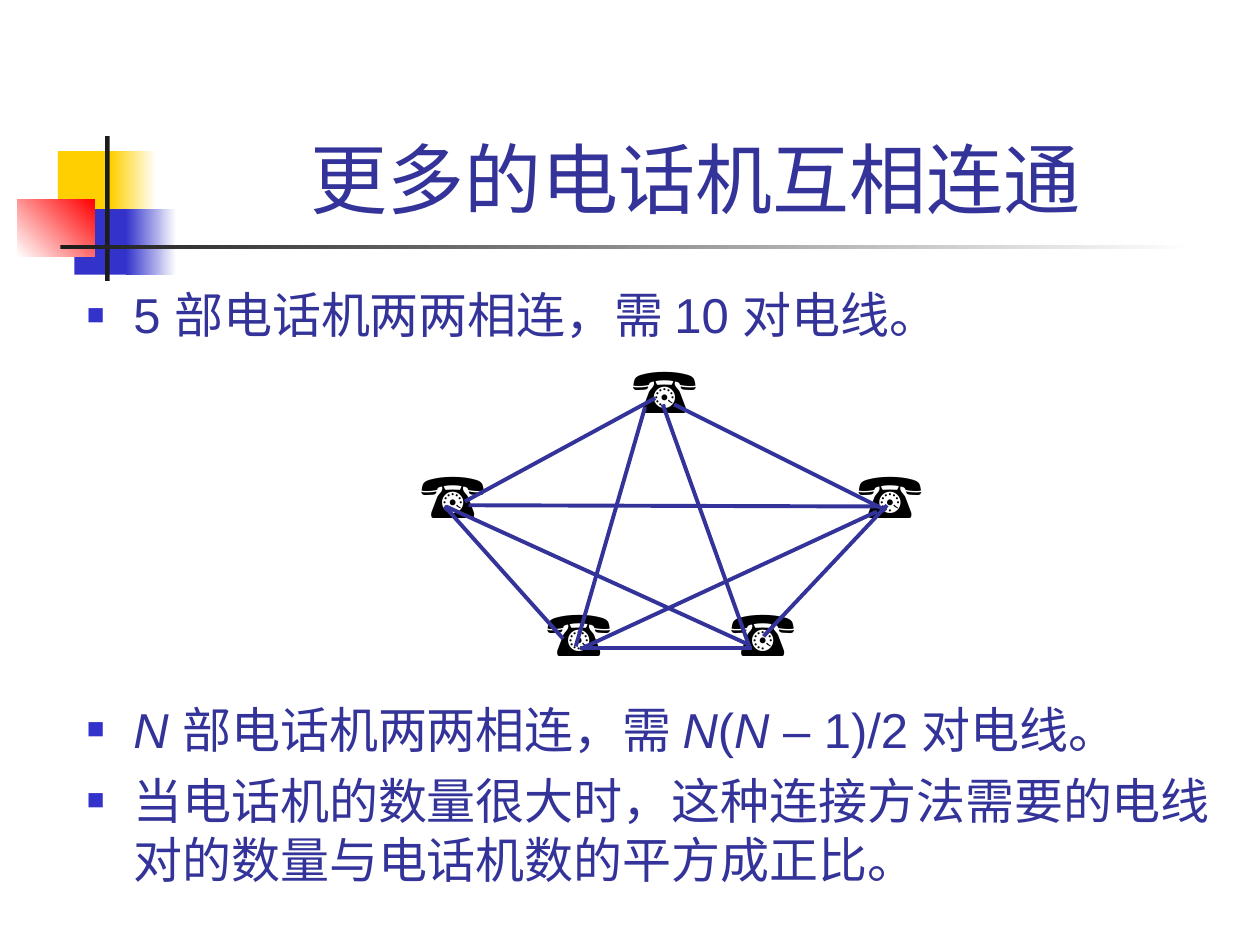
from dataclasses import dataclass
from typing import NamedTuple

from lxml.etree import SubElement
from pptx import Presentation
from pptx.dml.color import RGBColor
from pptx.enum.shapes import MSO_CONNECTOR as Connector, MSO_SHAPE as Preset
from pptx.enum.text import MSO_ANCHOR as Anchor, PP_ALIGN as Align
from pptx.oxml.ns import qn
from pptx.util import Inches, Pt

CELL = Inches(0.1)
COLUMNS, ROWS = 100, 75


@dataclass(frozen=True)
class Theme:
    ink: str = "333399"
    bullet: str = "3333CC"
    phone: str = "000000"
    yellow: str = "FFCF01"
    red: str = "FF0000"
    dark: str = "1C1C1C"
    paper: str = "FFFFFF"
    font: str = "Arial"
    title_size: int = 44
    body_size: int = 28
    phone_size: int = 36
    wire_width: float = 2.25
    bullet_share: int = 60
    paragraph_gap: int = 7


class Area(NamedTuple):
    column: float
    row: float
    columns: float
    rows: float


class Block(NamedTuple):
    area: Area
    color: str
    fade_to: str = ""
    angle: int = 0


class Wire(NamedTuple):
    start: tuple[float, float]
    end: tuple[float, float]


class Run(NamedTuple):
    text: str
    italic: bool = False


THEME = Theme()

ORNAMENT = [
    Block(Area(4.6, 12, 4.8, 5.2), THEME.yellow),
    Block(Area(8.8, 12, 3.6, 5.2), THEME.yellow, THEME.paper),
    Block(Area(5.9, 16.6, 4.6, 5.2), THEME.bullet),
    Block(Area(10, 16.6, 4, 5.2), THEME.bullet, THEME.paper),
    Block(Area(1.4, 15.8, 6.1, 4.6), THEME.paper, THEME.red, 45),
    Block(Area(8.35, 10.8, 0.35, 11.5), THEME.dark),
    Block(Area(4.8, 19.45, 90, 0.35), THEME.dark, THEME.paper),
]

PHONES = [(49.2, 27.3), (32.4, 35.7), (42.4, 46.6), (67.1, 35.7), (57, 46.6)]

WIRES = [
    Wire((36.9, 39.8), (52, 31.6)),
    Wire((53.5, 32.1), (70.3, 40.5)),
    Wire((35.3, 40.2), (44.7, 50.7)),
    Wire((46, 51.4), (59.7, 51.4)),
    Wire((60.6, 50.5), (70.4, 40.1)),
    Wire((52.6, 32.1), (59.5, 51.4)),
    Wire((51.2, 32.3), (45.7, 51.3)),
    Wire((37.2, 40.1), (69.8, 40.2)),
    Wire((35.4, 40.2), (59.5, 51.2)),
    Wire((46.3, 51.4), (69.6, 40.6)),
]

FIVE_PHONES = [[Run("5 部电话机两两相连，需 10 对电线。")]]
MANY_PHONES = [
    [
        Run("N ", True),
        Run("部电话机两两相连，需 "),
        Run("N", True),
        Run("("),
        Run("N", True),
        Run(" – 1)/2 对电线。"),
    ],
    [Run("当电话机的数量很大时，这种连接方法需要的电线对的数量与电话机数的平方成正比。")],
]


def cells(*counts: float) -> list[int]:
    return [round(count * CELL) for count in counts]


def rgb(color: str) -> RGBColor:
    return RGBColor.from_string(color)


def add_block(slide, block: Block) -> None:
    shape = slide.shapes.add_shape(Preset.RECTANGLE, *cells(*block.area))
    shape.shadow.inherit = False
    shape.line.fill.background()
    if not block.fade_to:
        shape.fill.solid()
        shape.fill.fore_color.rgb = rgb(block.color)
        return
    shape.fill.gradient()
    shape.fill.gradient_angle = block.angle
    for stop, color in zip(shape.fill.gradient_stops, (block.color, block.fade_to)):
        stop.color.rgb = rgb(color)


def add_bullet(paragraph) -> None:
    properties = paragraph._p.get_or_add_pPr()
    indent = Inches(0.37)
    properties.set("marL", str(indent))
    properties.set("indent", str(-indent))
    tint = SubElement(properties, qn("a:buClr"))
    SubElement(tint, qn("a:srgbClr"), val=THEME.bullet)
    SubElement(properties, qn("a:buSzPct"), val=str(THEME.bullet_share * 1000))
    SubElement(properties, qn("a:buFont"), typeface=THEME.font)
    SubElement(properties, qn("a:buChar"), char="■")


def add_text(slide, paragraphs: list[list[Run]], area: Area, *, size: int,
             color: str = THEME.ink, align: Align = Align.LEFT,
             anchor: Anchor = Anchor.TOP, bulleted: bool = False) -> None:
    frame = slide.shapes.add_textbox(*cells(*area)).text_frame
    frame.word_wrap = True
    frame.vertical_anchor = anchor
    for index, runs in enumerate(paragraphs):
        paragraph = frame.add_paragraph() if index else frame.paragraphs[0]
        paragraph.alignment = align
        if index:
            paragraph.space_before = Pt(THEME.paragraph_gap)
        if bulleted:
            add_bullet(paragraph)
        for text, italic in runs:
            run = paragraph.add_run()
            run.text = text
            run.font.name = THEME.font
            run.font.size = Pt(size)
            run.font.italic = italic
            run.font.color.rgb = rgb(color)


def add_wire(slide, wire: Wire) -> None:
    line = slide.shapes.add_connector(
        Connector.STRAIGHT, *cells(*wire.start, *wire.end))
    line.line.color.rgb = rgb(THEME.ink)
    line.line.width = Pt(THEME.wire_width)
    SubElement(line._element.spPr, qn("a:effectLst"))


def main() -> None:
    deck = Presentation()
    deck.slide_width, deck.slide_height = cells(COLUMNS, ROWS)
    slide = deck.slides.add_slide(deck.slide_layouts[6])
    for block in ORNAMENT:
        add_block(slide, block)
    add_text(slide, [[Run("更多的电话机互相连通")]], Area(12.6, 2.3, 85.2, 16),
             size=THEME.title_size, align=Align.CENTER, anchor=Anchor.BOTTOM)
    for paragraphs, row, rows in ((FIVE_PHONES, 22.1, 6), (MANY_PHONES, 55, 17)):
        add_text(slide, paragraphs, Area(5.9, row, 94.1, rows),
                 size=THEME.body_size, bulleted=True)
    for column, row in PHONES:
        add_text(slide, [[Run("☎")]], Area(column, row, 8.5, 7),
                 size=THEME.phone_size, color=THEME.phone)
    for wire in WIRES:
        add_wire(slide, wire)
    deck.save("out.pptx")


if __name__ == "__main__":
    main()
